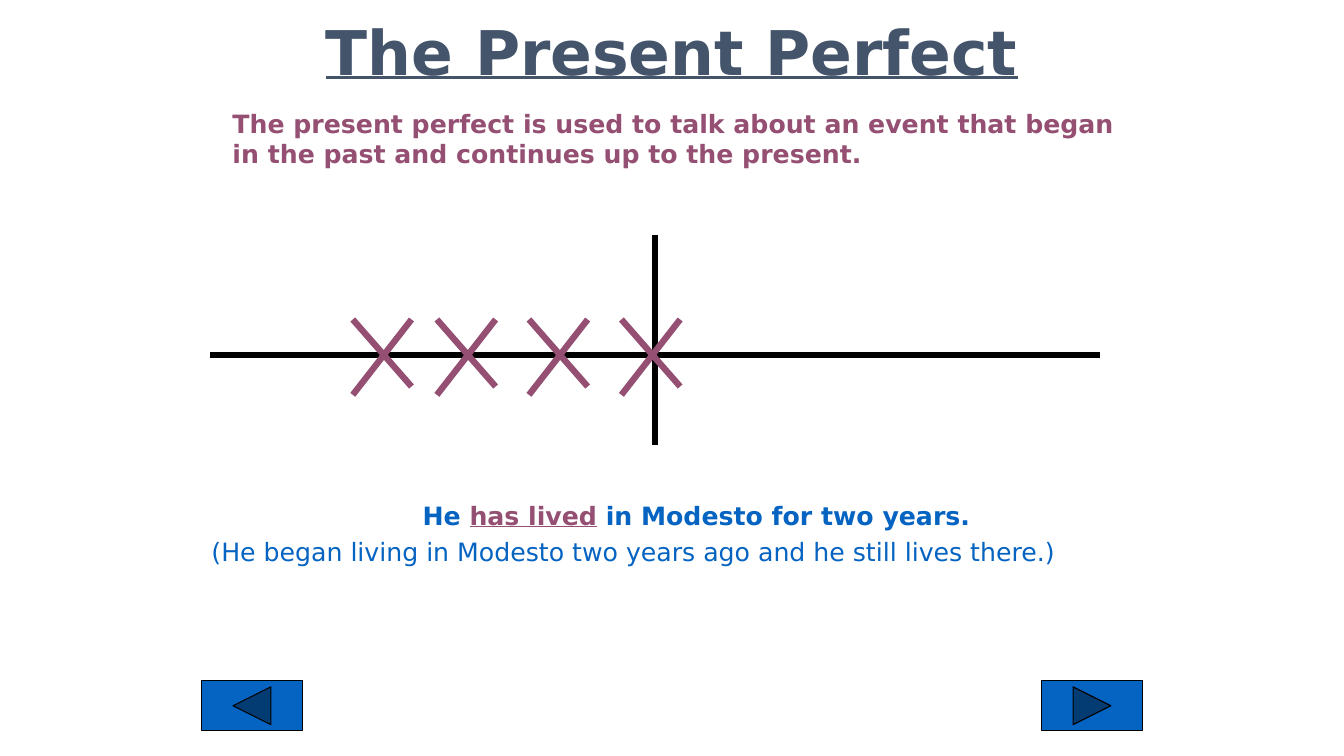
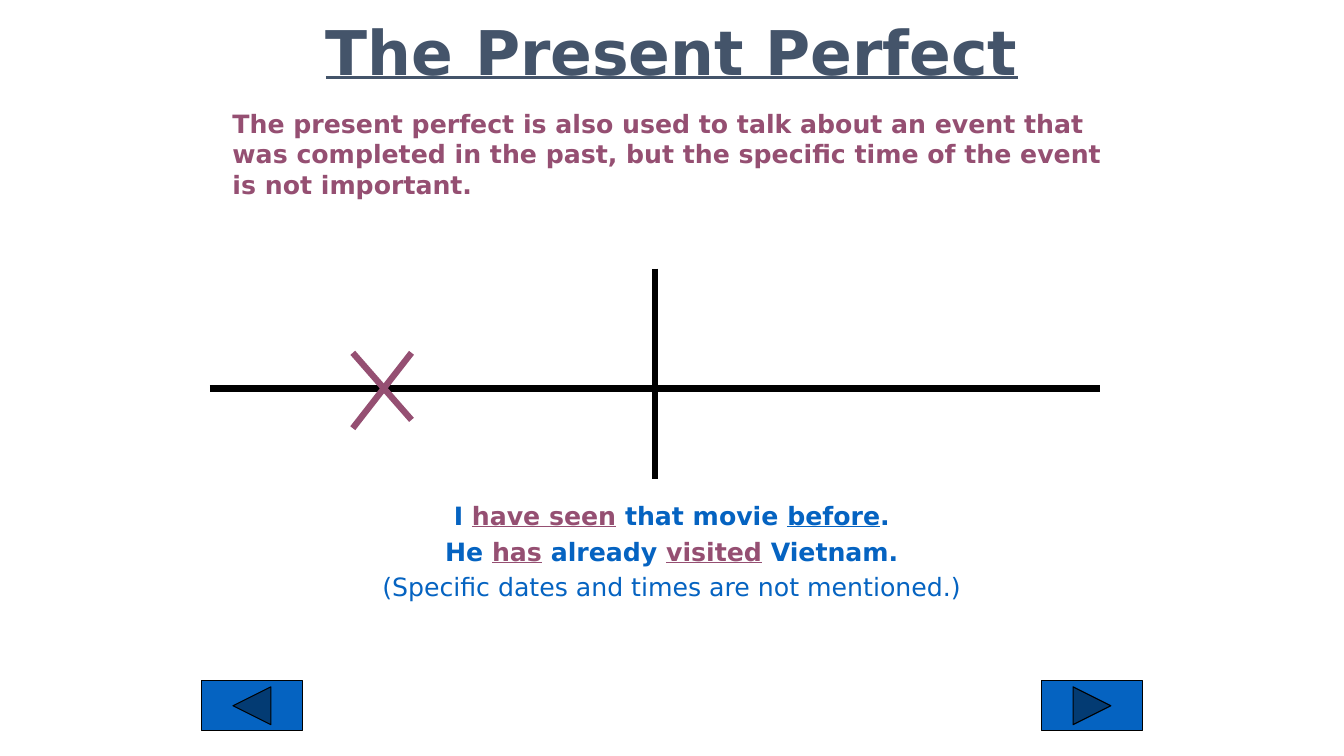
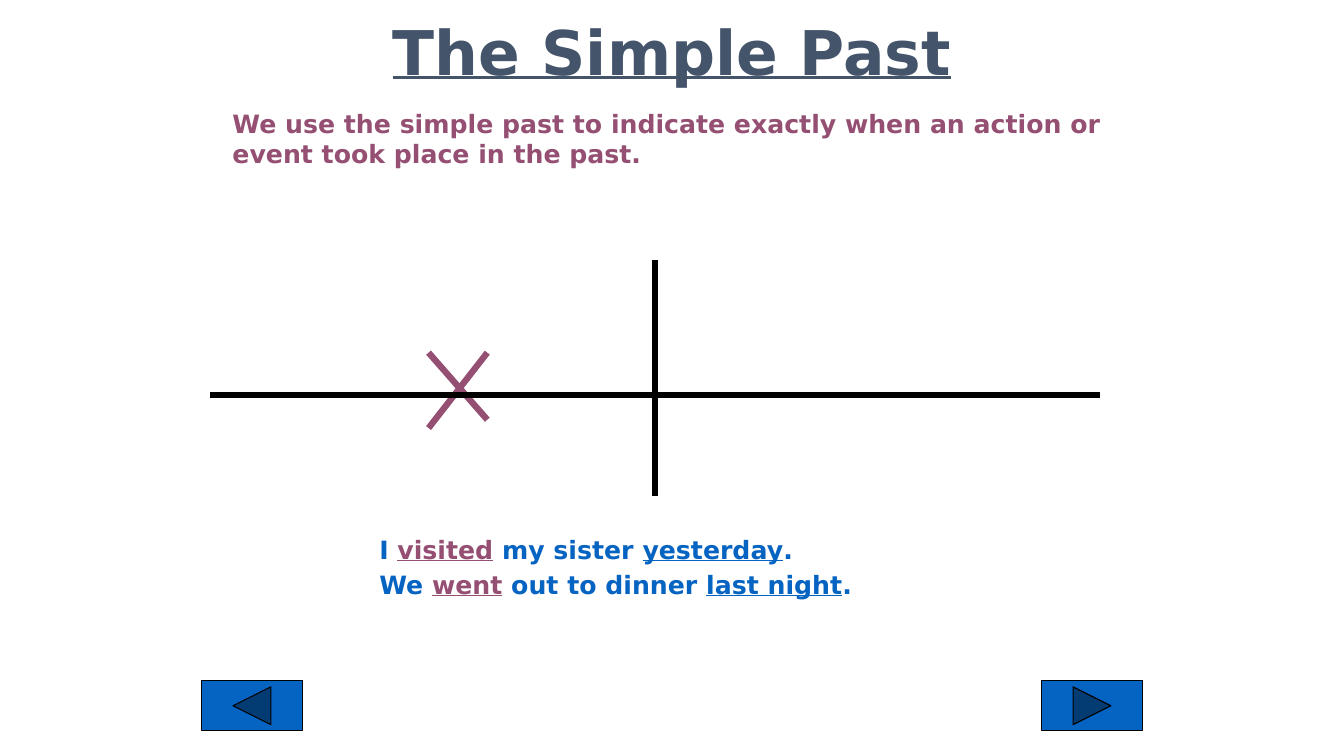
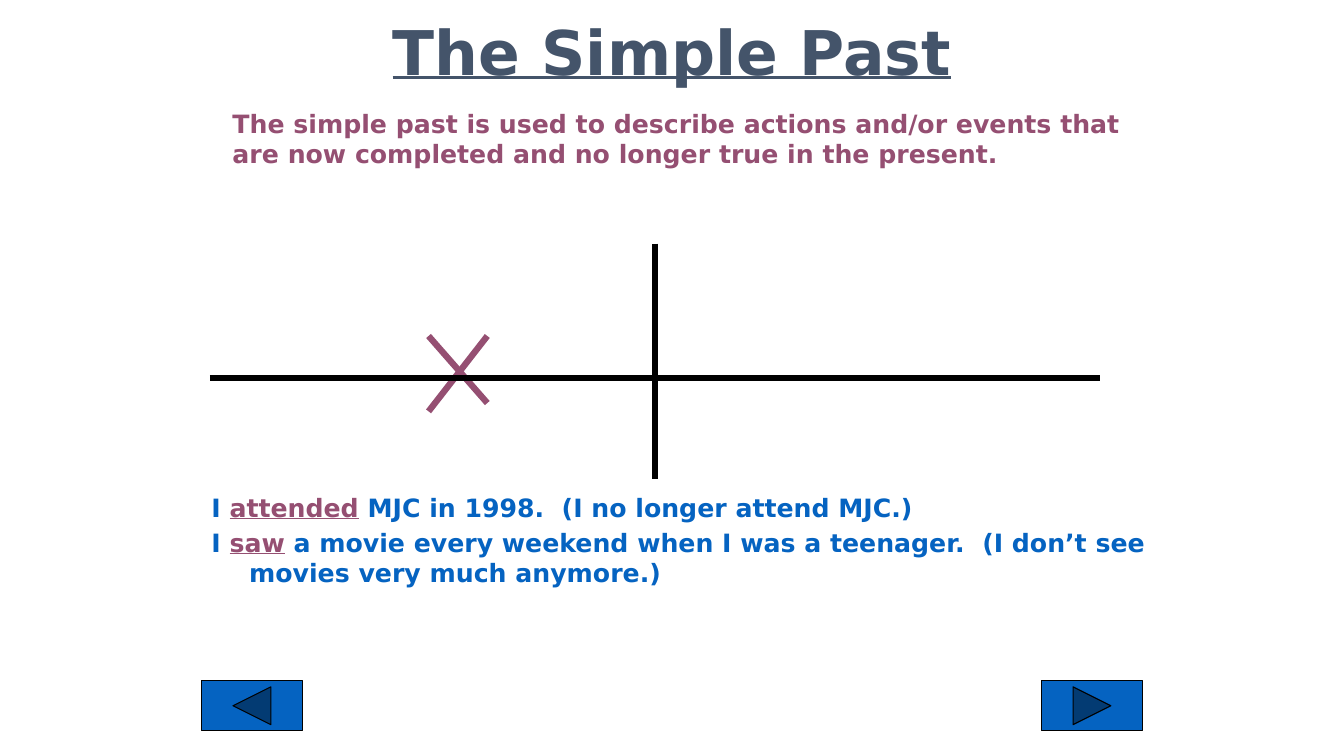
from dataclasses import dataclass

from lxml import etree
from pptx import Presentation
from pptx.dml.color import RGBColor
from pptx.enum.shapes import MSO_CONNECTOR, MSO_SHAPE
from pptx.enum.text import MSO_ANCHOR, PP_ALIGN
from pptx.oxml.ns import qn
from pptx.util import Cm, Pt

LEFT, CENTER = PP_ALIGN.LEFT, PP_ALIGN.CENTER
TOP, BOTTOM = MSO_ANCHOR.TOP, MSO_ANCHOR.BOTTOM
STRAIGHT = MSO_CONNECTOR.STRAIGHT
BACK = MSO_SHAPE.ACTION_BUTTON_BACK_OR_PREVIOUS
FORWARD = MSO_SHAPE.ACTION_BUTTON_FORWARD_OR_NEXT

SLATE = RGBColor(0x44, 0x54, 0x6A)
BLUE = RGBColor(0x05, 0x63, 0xC1)
PLUM = RGBColor(0x95, 0x4F, 0x72)
BLACK = RGBColor(0, 0, 0)
FONT = "DejaVu Sans"


@dataclass(frozen=True)
class Style:
    color: RGBColor
    size: float = 18
    bold: bool = True
    underline: bool = False


TITLE = Style(SLATE, size=44, underline=True)
RULE = Style(PLUM)
WORDS = Style(BLUE)
VERB = Style(PLUM, underline=True)
TIME = Style(BLUE, underline=True)
REMARK = Style(BLUE, bold=False)


@dataclass(frozen=True)
class Tense:
    """How a tense is named and drawn; lengths in cm."""
    title: str
    now_height: float
    mark_rise: float
    marks_behind: bool


PRESENT_PERFECT = Tense("The Present Perfect", 5.29, 0.9, False)
SIMPLE_PAST = Tense("The Simple Past", 5.93, 1.06, True)

TIMELINE_LEFT, TIMELINE_RIGHT = 5.29, 27.73
NOW_X = (TIMELINE_LEFT + TIMELINE_RIGHT) / 2
PAST_SHARE = 0.571  # part of the "now" line that stands above the timeline
MARK_WIDTH, MARK_FALL, MARK_RISE = 1.48, 1.69, 1.9
HANGING = Cm(0.95)


def add_text(slide, box, paragraphs, anchor=TOP, hanging=0):
    """Write paragraphs, each an alignment and a list of (text, style) runs."""
    frame = slide.shapes.add_textbox(*map(Cm, box)).text_frame
    frame.word_wrap = True
    frame.vertical_anchor = anchor
    for index, (alignment, runs) in enumerate(paragraphs):
        paragraph = frame.add_paragraph() if index else frame.paragraphs[0]
        paragraph.alignment = alignment
        if index:
            paragraph.space_before = Pt(3.6)
        if hanging:
            properties = paragraph._p.get_or_add_pPr()
            properties.set("marL", str(hanging))
            properties.set("indent", str(-hanging))
        for text, style in runs:
            run = paragraph.add_run()
            run.text = text
            run.font.name = FONT
            run.font.size = Pt(style.size)
            run.font.bold = style.bold
            run.font.underline = style.underline
            run.font.color.rgb = style.color


def add_lines(slide, color, *lines):
    """Draw a group of thick lines, each given as x1, y1, x2, y2 in cm."""
    group = slide.shapes.add_group_shape()
    for ends in lines:
        line = group.shapes.add_connector(STRAIGHT, *map(Cm, ends))
        line.line.color.rgb = color
        line.line.width = Pt(4.5)
        etree.SubElement(line._element.spPr, qn("a:effectLst"))


def add_marks(slide, lefts, top):
    for left in lefts:
        right = left + MARK_WIDTH
        add_lines(slide, PLUM,
                  (left, top, right, top + MARK_FALL),
                  (right, top, left, top + MARK_RISE))


def add_timeline(slide, tense, top, mark_lefts):
    axis_y = top + tense.now_height * PAST_SHARE
    mark_top = axis_y - tense.mark_rise
    if tense.marks_behind:
        add_marks(slide, mark_lefts, mark_top)
    add_lines(slide, BLACK,
              (TIMELINE_LEFT, axis_y, TIMELINE_RIGHT, axis_y),
              (NOW_X, top, NOW_X, top + tense.now_height))
    if not tense.marks_behind:
        add_marks(slide, mark_lefts, mark_top)


def add_navigation(slide):
    for kind, left in ((BACK, 5.08), (FORWARD, 26.25)):
        button = slide.shapes.add_shape(kind, Cm(left), Cm(17.15), Cm(2.54), Cm(1.27))
        button.shadow.inherit = False
        button.fill.solid()
        button.fill.fore_color.rgb = BLUE
        button.line.color.rgb = BLACK
        button.line.width = Pt(0.75)


def add_tense_slide(deck, tense, rule, timeline_top, mark_lefts, examples_box, examples):
    slide = deck.slides.add_slide(deck.slide_layouts[6])
    add_text(slide, (4.66, 0.21, 24.55, 2.12), [(CENTER, [(tense.title, TITLE)])], BOTTOM)
    add_navigation(slide)
    add_text(slide, (5.61, 2.61, 23.16, 4.38), [(LEFT, [(rule, RULE)])])
    add_text(slide, examples_box, examples, hanging=HANGING)
    add_timeline(slide, tense, timeline_top, mark_lefts)


def main():
    deck = Presentation()
    deck.slide_width, deck.slide_height = Cm(33.87), Cm(19.05)

    add_tense_slide(
        deck, PRESENT_PERFECT,
        "The present perfect is used to talk about an event that began "
        "in the past and continues up to the present.",
        5.93, (8.89, 11.01, 13.33, 15.66), (5.08, 12.49, 24.94, 2.54),
        [(CENTER, [("He ", WORDS), ("has lived", VERB),
                   (" in Modesto for two years.", WORDS)]),
         (LEFT, [("(He began living in Modesto two years ago "
                  "and he still lives there.)", REMARK)])])

    add_tense_slide(
        deck, PRESENT_PERFECT,
        "The present perfect is also used to talk about an event that was completed "
        "in the past, but the specific time of the event is not important.",
        6.77, (8.89,), (4.23, 12.49, 25.4, 2.54),
        [(CENTER, [("I ", WORDS), ("have seen", VERB), (" that movie ", WORDS),
                   ("before", TIME), (".", WORDS)]),
         (CENTER, [("He ", WORDS), ("has", VERB), (" already ", WORDS),
                   ("visited", VERB), (" Vietnam.", WORDS)]),
         (CENTER, [("(Specific dates and times are not mentioned.)", REMARK)])])

    add_tense_slide(
        deck, SIMPLE_PAST,
        "We use the simple past to indicate exactly when an action or event "
        "took place in the past.",
        6.56, (10.8,), (9.31, 13.34, 17.15, 2.54),
        [(LEFT, [("I ", WORDS), ("visited", VERB), (" my sister ", WORDS),
                 ("yesterday", TIME), (".", WORDS)]),
         (LEFT, [("We ", WORDS), ("went", VERB), (" out to dinner ", WORDS),
                 ("last night", TIME), (".", WORDS)])])

    add_tense_slide(
        deck, SIMPLE_PAST,
        "The simple past is used to describe actions and/or events that are now "
        "completed and no longer true in the present.",
        6.14, (10.8,), (5.08, 12.28, 25.4, 2.54),
        [(LEFT, [("I ", WORDS), ("attended", VERB),
                 (" MJC in 1998.  (I no longer attend MJC.)", WORDS)]),
         (LEFT, [("I ", WORDS), ("saw", VERB),
                 (" a movie every weekend when I was a teenager.  "
                  "(I don’t see movies very much anymore.)", WORDS)])])

    deck.save("out.pptx")


if __name__ == "__main__":
    main()
